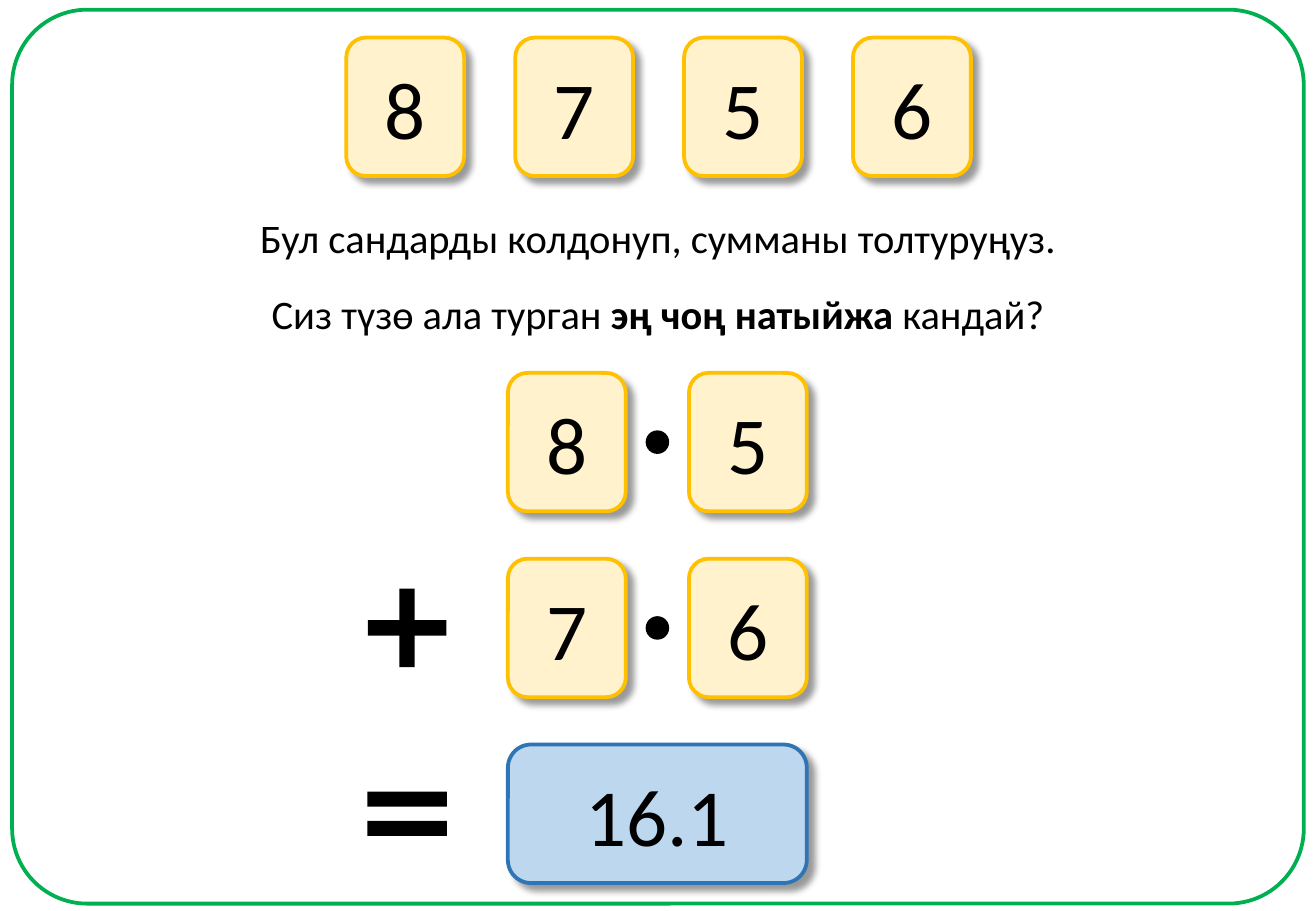
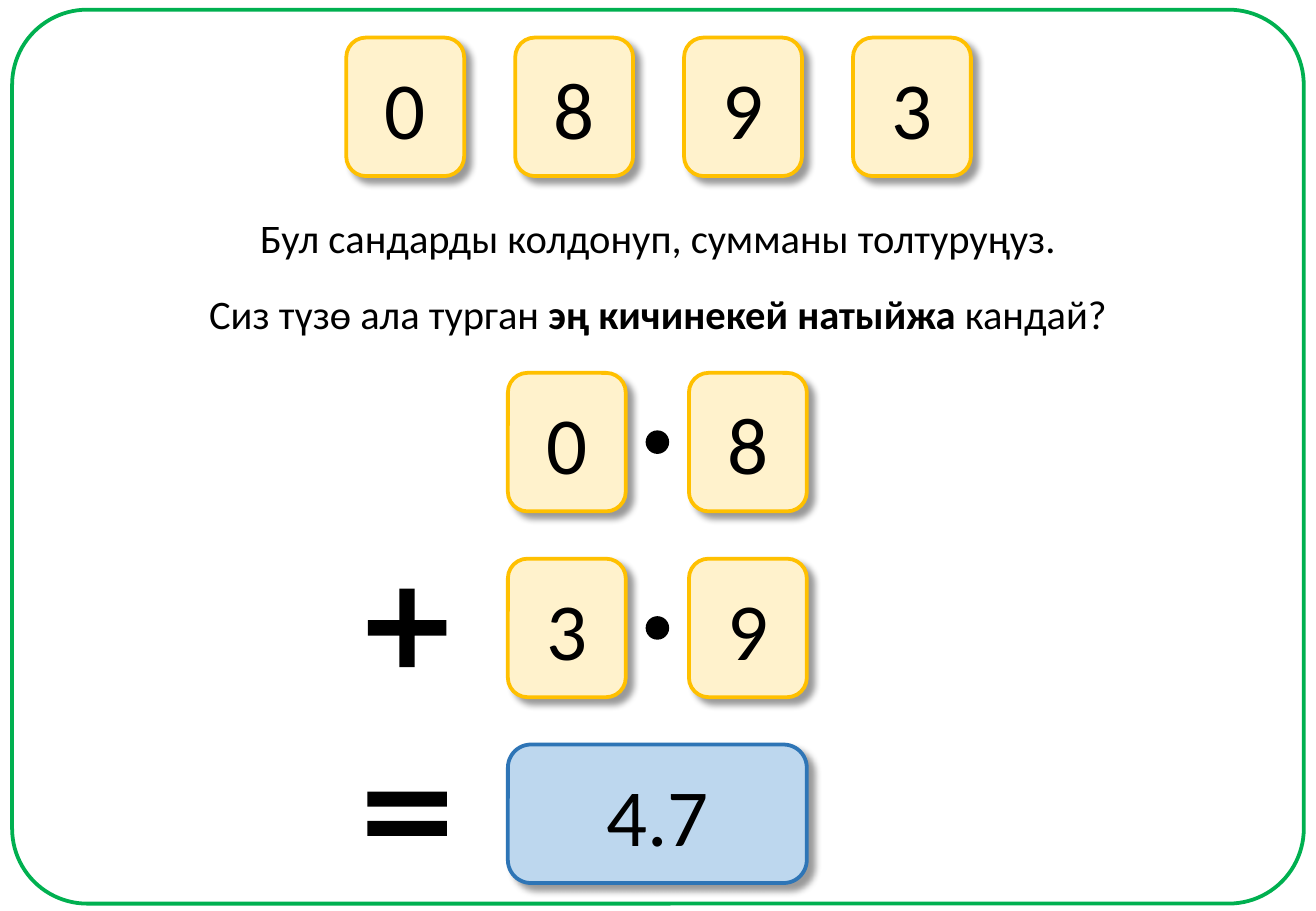
from dataclasses import dataclass

from lxml import etree
from pptx import Presentation
from pptx import util as u
from pptx.dml import color
from pptx.enum import shapes, text
from pptx.oxml import ns

Inches = u.Inches


@dataclass(frozen=True)
class Theme:
    font: str = "Calibri"
    ink: str = "000000"
    frame: str = "00B050"
    card_fill: str = "FFF2CC"
    card_line: str = "FFC000"
    answer_fill: str = "BDD7EE"
    answer_line: str = "2E75B6"
    body_size: int = 24
    digit_size: int = 48
    border: float = 2.25


THEME = Theme()
SLIDE_WIDTH, SLIDE_HEIGHT = 10.83, 7.5
CARD_WIDTH, CARD_HEIGHT = 0.97, 1.14
TOP_CARDS_LEFT, TOP_CARDS_TOP, TOP_CARDS_STEP = 2.85, 0.31, 1.39
SUM_LEFT, SUM_TOP, SUM_STEP = 4.18, 3.07, 1.53
TENTHS_LEFT = 5.67
ANSWER_WIDTH = TENTHS_LEFT + CARD_WIDTH - SUM_LEFT
POINT_SIZE = 0.18
SIGN_CENTER = 3.35
INSTRUCTION = "Бул сандарды колдонуп, сумманы толтуруңуз."

EXERCISES = [
    ("8756", "эң чоң натыйжа ", ["85", "76"], "16.1"),
    ("0893", "эң кичинекей натыйжа ", ["08", "39"], "4.7"),
]


def rgb(value):
    return color.RGBColor.from_string(value)


def write_text(shape, *runs, size=THEME.body_size, wrap=True):
    frame = shape.text_frame
    frame.word_wrap = wrap
    frame.auto_size = text.MSO_AUTO_SIZE.NONE
    frame.vertical_anchor = text.MSO_ANCHOR.MIDDLE
    paragraph = frame.paragraphs[0]
    paragraph.alignment = text.PP_ALIGN.CENTER
    for content, bold in runs:
        run = paragraph.add_run()
        run.text = content
        run.font.name = THEME.font
        run.font.size = u.Pt(size)
        run.font.bold = bold
        run.font.color.rgb = rgb(THEME.ink)


class Deck:
    def __init__(self, presentation):
        self.presentation = presentation
        self.slide = None

    def new_slide(self):
        self.slide = self.presentation.slides.add_slide(self.presentation.slide_layouts[5])

    def shape(self, kind, left, top, width, height, fill=None, line=None,
              border=THEME.border, adjustments=(), parent=None):
        target = parent or self.slide
        shape = target.shapes.add_shape(
            kind, Inches(left), Inches(top), Inches(width), Inches(height))
        shape.shadow.inherit = False
        if fill:
            shape.fill.solid()
            shape.fill.fore_color.rgb = rgb(fill)
        else:
            shape.fill.background()
        if line:
            shape.line.color.rgb = rgb(line)
            shape.line.width = u.Pt(border)
        else:
            shape.line.fill.background()
        for index, value in enumerate(adjustments):
            shape.adjustments[index] = value
        return shape

    def frame(self):
        self.shape(shapes.MSO_SHAPE.ROUNDED_RECTANGLE, 0.1, 0.08, 10.63, 7.36,
                   line=THEME.frame, adjustments=[0.084])

    def instruction(self):
        box = self.slide.shapes.add_textbox(
            Inches(0.5), Inches(1.7), Inches(SLIDE_WIDTH - 1), Inches(0.5))
        write_text(box, (INSTRUCTION, False))

    def title(self, emphasis):
        title = self.slide.shapes.title
        title.left, title.top = Inches(0.5), Inches(2.33)
        title.width, title.height = Inches(SLIDE_WIDTH - 1), Inches(0.5)
        write_text(title, ("Сиз түзө ала турган ", False), (emphasis, True),
                   ("кандай?", False))

    def card(self, content, left, top, width=CARD_WIDTH, fill=THEME.card_fill,
             line=THEME.card_line, parent=None):
        card = self.shape(shapes.MSO_SHAPE.ROUNDED_RECTANGLE, left, top, width,
                          CARD_HEIGHT, fill, line, parent=parent)
        self.drop_shadow(card)
        write_text(card, (content, False), size=THEME.digit_size)

    def drop_shadow(self, shape):
        effects = shape.element.spPr.find(ns.qn("a:effectLst"))
        shadow = etree.SubElement(
            effects, ns.qn("a:outerShdw"), blurRad=str(u.Pt(4)), dist=str(u.Pt(5)),
            dir="2700000", algn="tl", rotWithShape="0")
        tint = etree.SubElement(shadow, ns.qn("a:srgbClr"), val=THEME.ink)
        etree.SubElement(tint, ns.qn("a:alpha"), val="40000")

    def digit_row(self, digits):
        group = self.slide.shapes.add_group_shape()
        for index, digit in enumerate(digits):
            self.card(digit, TOP_CARDS_LEFT + index * TOP_CARDS_STEP, TOP_CARDS_TOP,
                      parent=group)

    def decimal(self, digits, top):
        for digit, left in zip(digits, (SUM_LEFT, TENTHS_LEFT)):
            self.card(digit, left, top)
        self.shape(shapes.MSO_SHAPE.OVAL, SUM_LEFT + (ANSWER_WIDTH - POINT_SIZE) / 2,
                   top + (CARD_HEIGHT - POINT_SIZE) / 2, POINT_SIZE, POINT_SIZE,
                   THEME.ink, THEME.ink, border=1)

    def sign(self, kind, row, width, height, adjustments):
        middle = SUM_TOP + row * SUM_STEP + CARD_HEIGHT / 2
        self.shape(kind, SIGN_CENTER - width / 2, middle - height / 2, width, height,
                   THEME.ink, adjustments=adjustments)

    def exercise(self, digits, emphasis, addends, answer):
        self.new_slide()
        self.frame()
        self.instruction()
        self.title(emphasis)
        self.digit_row(digits)
        for row, addend in enumerate(addends):
            self.decimal(addend, SUM_TOP + row * SUM_STEP)
        self.sign(shapes.MSO_SHAPE.MATH_PLUS, 1, 0.88, 0.88, [0.144])
        self.sign(shapes.MSO_SHAPE.MATH_EQUAL, 2, 0.89, 1, [0.123, 0.118])
        self.card(answer, SUM_LEFT, SUM_TOP + 2 * SUM_STEP, ANSWER_WIDTH,
                  THEME.answer_fill, THEME.answer_line)


def main():
    presentation = Presentation()
    presentation.slide_width = Inches(SLIDE_WIDTH)
    presentation.slide_height = Inches(SLIDE_HEIGHT)
    deck = Deck(presentation)
    for exercise in EXERCISES:
        deck.exercise(*exercise)
    presentation.save("out.pptx")


if __name__ == "__main__":
    main()
